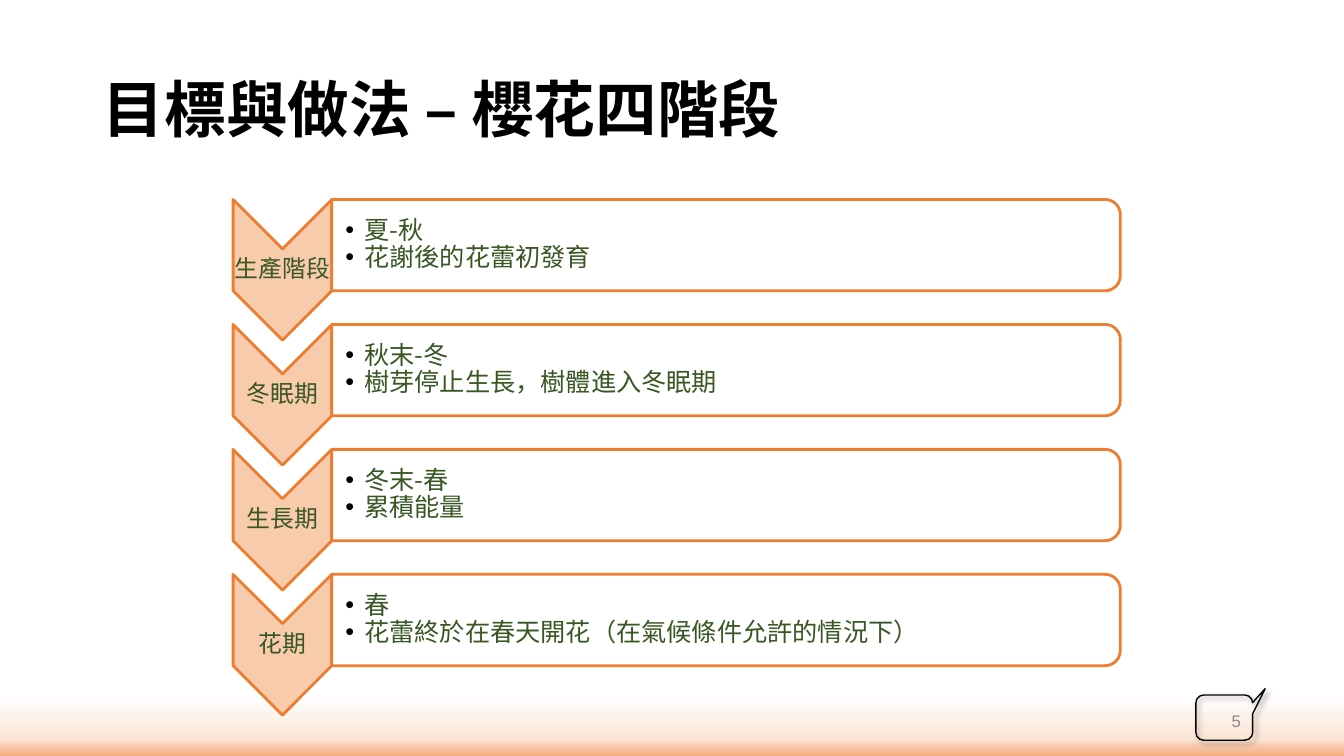
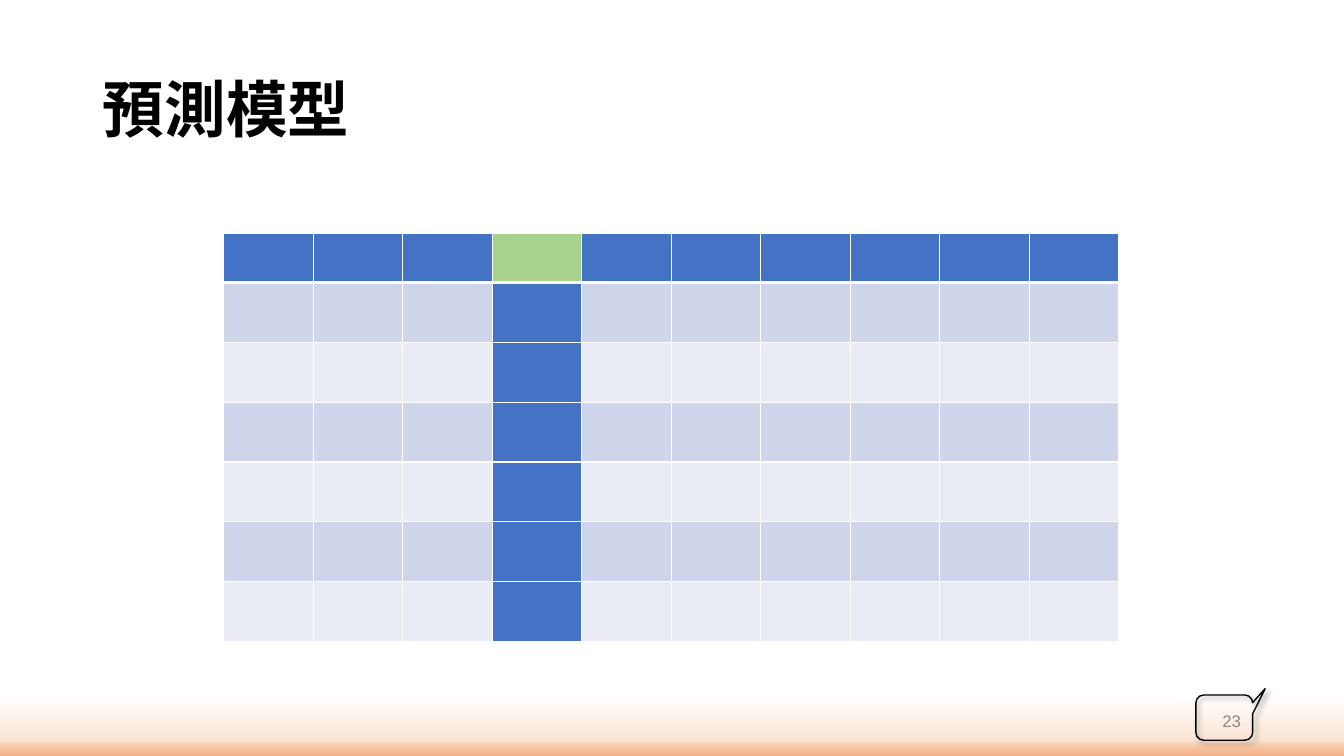
from lxml.etree import SubElement
from pptx import Presentation
from pptx.dml.color import RGBColor
from pptx.enum.shapes import MSO_SHAPE
from pptx.enum.text import MSO_ANCHOR, MSO_AUTO_SIZE, PP_ALIGN
from pptx.oxml.ns import qn
from pptx.util import Pt

PIXEL = 9525
SLIDE_WIDTH, SLIDE_HEIGHT = 1280, 720

WHITE = RGBColor(0xFF, 0xFF, 0xFF)
BLACK = RGBColor(0x00, 0x00, 0x00)
GRAY = RGBColor(0x88, 0x88, 0x88)
ORANGE = RGBColor(0xED, 0x7D, 0x31)
PEACH = RGBColor(0xF8, 0xCB, 0xAD)
DARK_GREEN = RGBColor(0x38, 0x57, 0x23)
LIGHT_GREEN = RGBColor(0xA9, 0xD1, 0x8E)
BLUE = RGBColor(0x44, 0x72, 0xC4)
BAND_DARK = RGBColor(0xCF, 0xD5, 0xEA)
BAND_LIGHT = RGBColor(0xE9, 0xEB, 0xF5)
FOOTER_STOPS = [
    (0, WHITE),
    (74, RGBColor(0xFB, 0xE4, 0xD4)),
    (83, RGBColor(0xF7, 0xCA, 0xAC)),
    (100, RGBColor(0xF4, 0xB0, 0x81)),
]
LATIN_FONT = "Arial"
CHINESE_FONT = "Noto Sans CJK SC"

STAGES_TITLE, STAGES_NUMBER = "目標與做法 – 櫻花四階段", "5"
STAGES = [
    ("生產階段", ["夏-秋", "花謝後的花蕾初發育"]),
    ("冬眠期", ["秋末-冬", "樹芽停止生長，樹體進入冬眠期"]),
    ("生長期", ["冬末-春", "累積能量"]),
    ("花期", ["春", "花蕾終於在春天開花（在氣候條件允許的情況下）"]),
]
STAGE_LEFT, STAGE_TOP, STAGE_PITCH = 222, 190, 119
CHEVRON_WIDTH, CHEVRON_HEIGHT = 94, 134
PANEL_WIDTH, PANEL_HEIGHT = 751, 87

MODEL_TITLE, MODEL_NUMBER = "預測模型", "23"
TABLE_ROWS, TABLE_COLUMNS, TARGET_COLUMN = 7, 10, 3
TABLE_LEFT, TABLE_TOP, TABLE_WIDTH = 213, 222, 853
HEADER_HEIGHT, ROW_HEIGHT = 47, 57


def px(value):
    return round(value * PIXEL)


def box(*lengths):
    return [px(length) for length in lengths]


def write_text(frame, lines, size=18, font=CHINESE_FONT, color=BLACK, bold=False,
               align=PP_ALIGN.LEFT, spacing=0.9, insets=(10, 5, 10, 5), bullet=None):
    frame.word_wrap = True
    frame.auto_size = MSO_AUTO_SIZE.NONE
    frame.vertical_anchor = MSO_ANCHOR.MIDDLE
    frame.margin_left, frame.margin_top, frame.margin_right, frame.margin_bottom = box(*insets)
    for index, line in enumerate(lines):
        paragraph = frame.add_paragraph() if index else frame.paragraphs[0]
        paragraph.alignment = align
        paragraph.line_spacing = spacing
        run = paragraph.add_run()
        run.text = line
        run.font.size = Pt(size)
        run.font.bold = bold
        run.font.color.rgb = color
        run.font.name = font
        SubElement(run.font._element, qn("a:ea"), typeface=CHINESE_FONT)
        if bullet:
            properties = paragraph._p.get_or_add_pPr()
            properties.set("marL", str(px(18)))
            properties.set("indent", str(px(-18)))
            bullet_color = SubElement(properties, qn("a:buClr"))
            SubElement(bullet_color, qn("a:srgbClr"), val=str(BLACK))
            SubElement(properties, qn("a:buFont"), typeface=LATIN_FONT)
            SubElement(properties, qn("a:buChar"), char=bullet)


def add_text(slide, bounds, lines, **text_format):
    write_text(slide.shapes.add_textbox(*box(*bounds)).text_frame, lines, **text_format)


def add_outlined_shape(slide, kind, bounds, line_color, line_width, fill=None):
    shape = slide.shapes.add_shape(kind, *box(*bounds))
    shape.shadow.inherit = False
    if fill is None:
        shape.fill.background()
    else:
        shape.fill.solid()
        shape.fill.fore_color.rgb = fill
    shape.line.color.rgb = line_color
    shape.line.width = Pt(line_width)
    return shape


def add_turned_shape(slide, kind, left, top, width, height, fill):
    offset = (width - height) / 2
    bounds = (left + offset, top - offset, height, width)
    shape = add_outlined_shape(slide, kind, bounds, ORANGE, 2, fill)
    shape.rotation = 90
    return shape


def set_alpha(color_element, percent):
    SubElement(color_element, qn("a:alpha"), val=str(percent * 1000))


def add_footer_band(slide):
    band = slide.shapes.add_shape(MSO_SHAPE.RECTANGLE, *box(0, 662, SLIDE_WIDTH, 58))
    band.shadow.inherit = False
    band.line.fill.background()
    band.fill.gradient()
    band.fill.gradient_angle = 270
    stops = band.element.spPr.find(".//" + qn("a:gsLst"))
    for stop in list(stops):
        stops.remove(stop)
    for position, color in FOOTER_STOPS:
        stop = SubElement(stops, qn("a:gs"), pos=str(position * 1000))
        SubElement(stop, qn("a:srgbClr"), val=str(color))
    return band


def add_number_callout(slide):
    callout = add_outlined_shape(slide, MSO_SHAPE.ROUNDED_RECTANGULAR_CALLOUT,
                                 (1139, 662, 54, 43), BLACK, 1)
    for index, value in enumerate((0.72, -0.64, 0.17)):
        callout.adjustments[index] = value
    effects = callout.element.spPr.find(qn("a:effectLst"))
    shadow = SubElement(effects, qn("a:outerShdw"), blurRad=str(Pt(4)), dist=str(Pt(3)),
                        dir=str(45 * 60000), algn="tl", rotWithShape="0")
    set_alpha(SubElement(shadow, qn("a:srgbClr"), val=str(BLACK)), 40)
    return callout


def prepare_layout(layout, slide):
    title = layout.placeholders[0]
    title.left, title.top, title.width, title.height = box(88, 38, 1104, 139)
    for index, shape in enumerate((add_footer_band(slide), add_number_callout(slide))):
        layout.shapes.element.insert(2 + index, shape.element)


def fill_title_and_number(slide, title, number):
    write_text(slide.shapes.title.text_frame, [title], size=44, font=LATIN_FONT, bold=True)
    add_text(slide, (904, 667, 288, 38), [number], size=12, font=LATIN_FONT,
             color=GRAY, align=PP_ALIGN.RIGHT, spacing=1.0)


def build_stages(slide):
    fill_title_and_number(slide, STAGES_TITLE, STAGES_NUMBER)
    panel_left = STAGE_LEFT + CHEVRON_WIDTH
    for index, (name, details) in enumerate(STAGES):
        top = STAGE_TOP + index * STAGE_PITCH
        add_turned_shape(slide, MSO_SHAPE.CHEVRON, STAGE_LEFT, top,
                         CHEVRON_WIDTH, CHEVRON_HEIGHT, PEACH)
        add_text(slide, (STAGE_LEFT, top + 47, CHEVRON_WIDTH, 40), [name], size=17,
                 color=DARK_GREEN, align=PP_ALIGN.CENTER, insets=(1, 1, 1, 1))
        panel = add_turned_shape(slide, MSO_SHAPE.ROUND_2_SAME_RECTANGLE, panel_left, top,
                                 PANEL_WIDTH, PANEL_HEIGHT, WHITE)
        set_alpha(panel.element.spPr.find(qn("a:solidFill"))[0], 90)
        add_text(slide, (panel_left, top + 4, PANEL_WIDTH - 5, PANEL_HEIGHT - 8), details,
                 color=DARK_GREEN, insets=(13, 1, 1, 1), bullet="•")


def set_borders(cell, **widths):
    properties = cell._tc.get_or_add_tcPr()
    for side in "LRTB":
        line = SubElement(properties, qn("a:ln" + side), w=str(Pt(widths.get(side, 1))))
        SubElement(SubElement(line, qn("a:solidFill")), qn("a:srgbClr"), val=str(WHITE))


def cell_color(row, column):
    if row == 0:
        return LIGHT_GREEN if column == TARGET_COLUMN else BLUE
    if column == TARGET_COLUMN:
        return BLUE
    return BAND_DARK if row % 2 else BAND_LIGHT


def build_model(slide):
    fill_title_and_number(slide, MODEL_TITLE, MODEL_NUMBER)
    height = HEADER_HEIGHT + (TABLE_ROWS - 1) * ROW_HEIGHT
    table = slide.shapes.add_table(TABLE_ROWS, TABLE_COLUMNS,
                                   *box(TABLE_LEFT, TABLE_TOP, TABLE_WIDTH, height)).table
    table.horz_banding = False
    for column in table.columns:
        column.width = px(TABLE_WIDTH / TABLE_COLUMNS)
    for row_index, row in enumerate(table.rows):
        row.height = px(ROW_HEIGHT if row_index else HEADER_HEIGHT)
        for column_index, cell in enumerate(row.cells):
            set_borders(cell, T=3 if row_index == 1 else 1, B=1 if row_index else 3)
            cell.fill.solid()
            cell.fill.fore_color.rgb = cell_color(row_index, column_index)


def main():
    presentation = Presentation()
    presentation.slide_width, presentation.slide_height = box(SLIDE_WIDTH, SLIDE_HEIGHT)
    layout = presentation.slide_layouts[5]
    stages_slide = presentation.slides.add_slide(layout)
    prepare_layout(layout, stages_slide)
    build_stages(stages_slide)
    build_model(presentation.slides.add_slide(layout))
    presentation.save("out.pptx")


if __name__ == "__main__":
    main()
